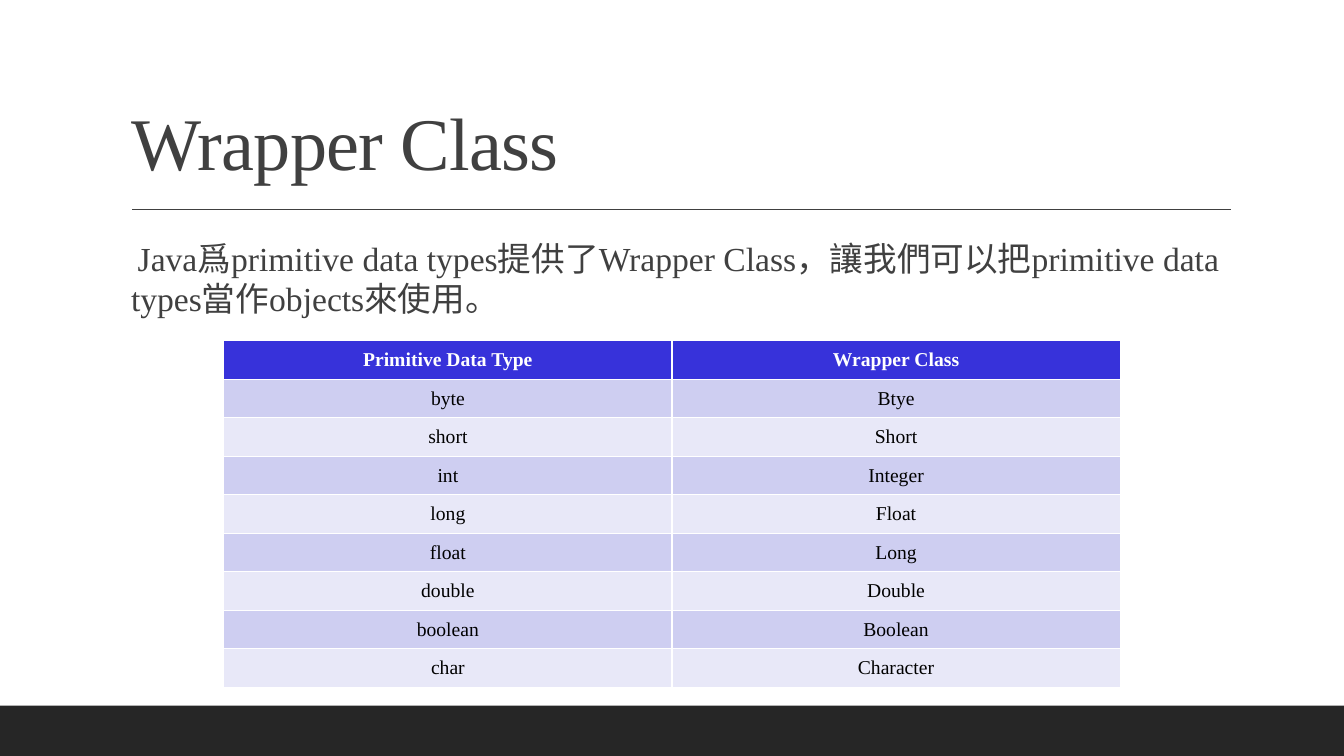
from lxml import etree
from pptx import Presentation
from pptx.dml.color import RGBColor
from pptx.enum.shapes import MSO_CONNECTOR as CONNECTOR, MSO_SHAPE as SHAPE
from pptx.enum.text import MSO_ANCHOR as ANCHOR, MSO_AUTO_SIZE as AUTO_SIZE, PP_ALIGN as ALIGN
from pptx.oxml.ns import qn
from pptx.util import Inches, Pt

FONT = "Times New Roman"
WHITE = RGBColor(0xFF, 0xFF, 0xFF)
BLACK = RGBColor(0, 0, 0)
GREY = RGBColor(0x40, 0x40, 0x40)
CHARCOAL = RGBColor(0x26, 0x26, 0x26)
HEADER_BLUE = RGBColor(0x37, 0x32, 0xDA)
BANDS = (RGBColor(0xCE, 0xCE, 0xF1), RGBColor(0xE8, 0xE8, 0xF8))

TYPE_PAIRS = [
    ("Primitive Data Type", "Wrapper Class"),
    ("byte", "Btye"),
    ("short", "Short"),
    ("int", "Integer"),
    ("long", "Float"),
    ("float", "Long"),
    ("double", "Double"),
    ("boolean", "Boolean"),
    ("char", "Character"),
]


def style_text(paragraph, size, color, bold=False):
    """Format every run of a paragraph."""
    for run in paragraph.runs:
        run.font.name = FONT
        run.font.size = Pt(size)
        run.font.bold = bold
        run.font.color.rgb = color


def add_footer_band(slide, left, top, width, height):
    """Draw the dark band along the foot of the slide."""
    band = slide.shapes.add_shape(
        SHAPE.RECTANGLE, Inches(left), Inches(top), Inches(width), Inches(height))
    band.shadow.inherit = False
    band.fill.solid()
    band.fill.fore_color.rgb = CHARCOAL
    band.line.fill.background()


def add_heading(slide, left, top, width, height):
    """Place the title and the rule beneath it."""
    rule_left, rule_top = Inches(left + 0.11), Inches(top + height + 0.18)
    rule = slide.shapes.add_connector(
        CONNECTOR.STRAIGHT, rule_left, rule_top, rule_left + Inches(10.9), rule_top)
    rule.line.color.rgb = GREY
    rule.line.width = Pt(1)
    etree.SubElement(rule.line._get_or_add_ln().getparent(), qn("a:effectLst"))

    title = slide.shapes.title
    title.left, title.top = Inches(left), Inches(top)
    title.width, title.height = Inches(width), Inches(height)
    frame = title.text_frame
    frame.text = "Wrapper Class"
    frame.auto_size = AUTO_SIZE.NONE
    frame.vertical_anchor = ANCHOR.BOTTOM
    heading = frame.paragraphs[0]
    heading.alignment = ALIGN.LEFT
    heading.line_spacing = 0.9
    style_text(heading, 53, GREY)
    heading.runs[0].font._element.set("spc", "-50")


def add_explanation(slide, left, top, width, height):
    """Write the sentence that introduces the wrapper classes."""
    body = slide.shapes.add_textbox(Inches(left), Inches(top), Inches(width), Inches(height))
    frame = body.text_frame
    frame.word_wrap = True
    frame.margin_left = frame.margin_right = 0
    frame.text = "Java爲primitive data types提供了Wrapper Class，讓我們可以把primitive data types當作objects來使用。"
    sentence = frame.paragraphs[0]
    sentence.space_before, sentence.space_after = Pt(12), Pt(2)
    style_text(sentence, 24, GREY)
    properties = sentence._p.get_or_add_pPr()
    properties.set("marL", str(Inches(0.1)))
    properties.set("indent", str(Inches(-0.1)))
    etree.SubElement(properties, qn("a:buChar")).set("char", " ")


def add_type_table(slide, left, top, width, height):
    """Fill the table that pairs each primitive type with its class."""
    table = slide.shapes.add_table(
        len(TYPE_PAIRS), 2, Inches(left), Inches(top), Inches(width), Inches(height)).table
    for row, pair in enumerate(TYPE_PAIRS):
        is_header = row == 0
        for column, label in enumerate(pair):
            cell = table.cell(row, column)
            cell.text = label
            cell.vertical_anchor = ANCHOR.MIDDLE
            cell.fill.solid()
            cell.fill.fore_color.rgb = HEADER_BLUE if is_header else BANDS[(row - 1) % 2]
            entry = cell.text_frame.paragraphs[0]
            entry.alignment = ALIGN.CENTER
            style_text(entry, 14, WHITE if is_header else BLACK, is_header)


def main():
    """Build the slide and save it."""
    deck = Presentation()
    deck.slide_width, deck.slide_height = Inches(13.33), Inches(7.5)
    slide = deck.slides.add_slide(deck.slide_layouts[5])
    add_footer_band(slide, 0, 7, 13.33, 0.5)
    add_heading(slide, 1.2, 0.31, 11, 1.59)
    add_explanation(slide, 1.2, 2.31, 11, 4.11)
    add_type_table(slide, 2.22, 3.38, 8.89, 3.44)
    deck.save("out.pptx")


if __name__ == "__main__":
    main()
